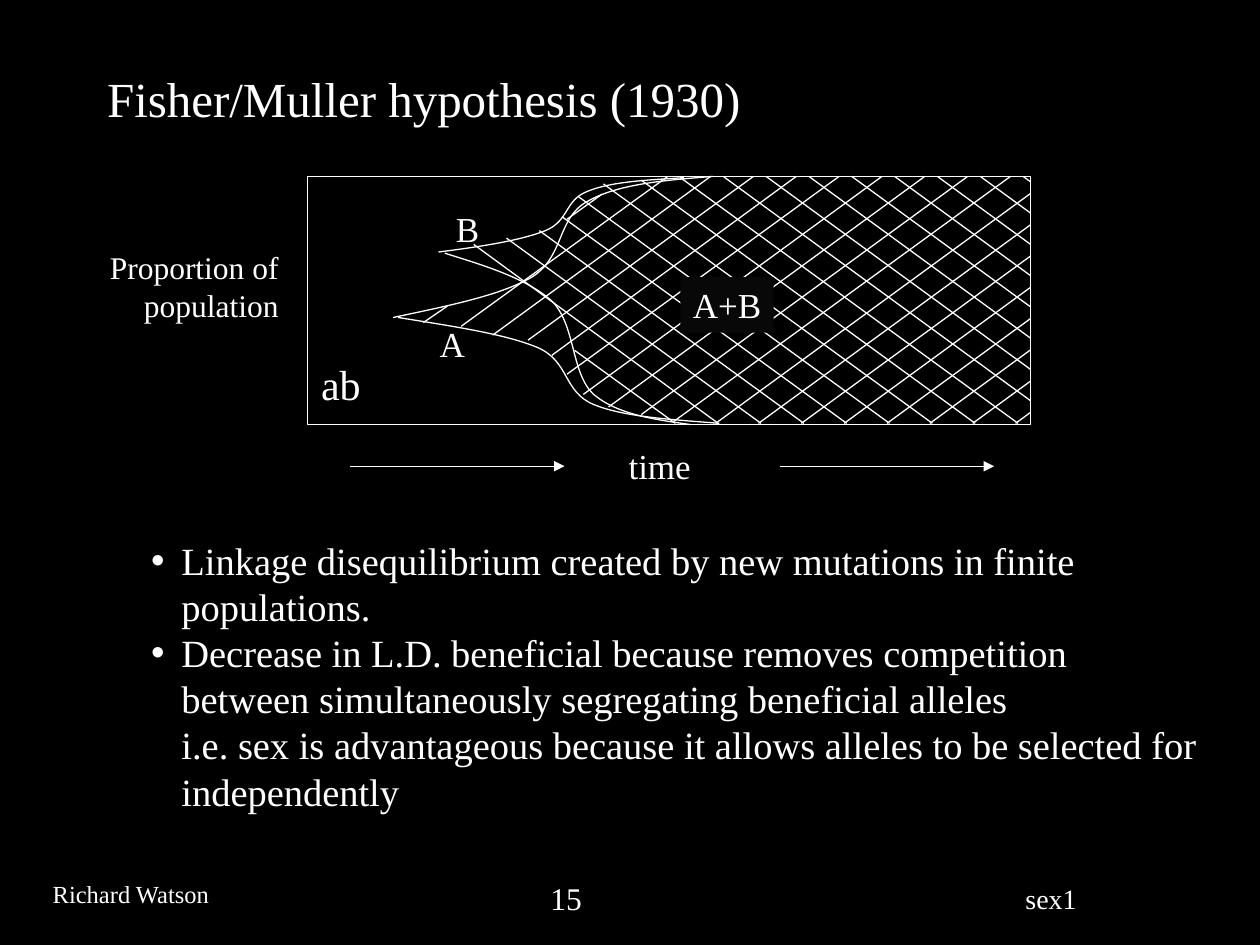
from lxml import etree
from pptx import Presentation
from pptx.dml.color import RGBColor
from pptx.enum.shapes import MSO_CONNECTOR, MSO_SHAPE
from pptx.enum.text import MSO_ANCHOR, MSO_AUTO_SIZE, PP_ALIGN
from pptx.oxml.ns import qn
from pptx.util import Inches, Pt

WHITE = "FFFFFF"
LINE_WIDTH = Pt(0.74)


def color(hex_string):
    return RGBColor.from_string(hex_string)


def write(shape, text, size=20, align=PP_ALIGN.LEFT, anchor=MSO_ANCHOR.TOP, wrap=True):
    frame = shape.text_frame
    frame.text = text
    frame.word_wrap = wrap
    frame.auto_size = MSO_AUTO_SIZE.NONE
    frame.vertical_anchor = anchor
    for paragraph in frame.paragraphs:
        paragraph.alignment = align
        paragraph.space_before = Pt(0)
        for run in paragraph.runs:
            run.font.name = "Times New Roman"
            run.font.size = Pt(size)
            run.font.color.rgb = color(WHITE)


prs = Presentation()
prs.slide_width, prs.slide_height = Inches(10), Inches(7.5)
slide = prs.slides.add_slide(prs.slide_layouts[1])
slide.background.fill.solid()
slide.background.fill.fore_color.rgb = color("000000")

# Title
title = slide.shapes.title
title.left, title.top, title.width, title.height = map(Inches, (0.75, 0.41, 8.5, 0.73))
write(title, "Fisher/Muller hypothesis (1930)", size=28, anchor=MSO_ANCHOR.MIDDLE)

# Population frame
diagram = slide.shapes.add_group_shape().shapes
population = diagram.add_shape(MSO_SHAPE.RECTANGLE, *map(Inches, (2.44, 1.4, 5.74, 1.97)))
outlines = [population]

# Boundaries of the spreading alleles: a start, then cubic segments
boundaries = [
    [(3.12, 2.52), (3.54, 2.43), (3.96, 2.35), (4.22, 2.2), (4.48, 2.04),
     (4.42, 1.73), (4.66, 1.6), (4.9, 1.46), (5.28, 1.43), (5.66, 1.4)],
    [(3.16, 2.52), (3.59, 2.59), (4.01, 2.65), (4.27, 2.76), (4.52, 2.87),
     (4.47, 3.11), (4.71, 3.21), (4.95, 3.31), (5.33, 3.33), (5.71, 3.36)],
    [(3.48, 2), (3.8, 1.96), (4.13, 1.91), (4.33, 1.83), (4.52, 1.75),
     (4.48, 1.59), (4.66, 1.52), (4.85, 1.44), (5.14, 1.43), (5.43, 1.41)],
    [(3.53, 2.01), (3.85, 2.11), (4.18, 2.21), (4.38, 2.39), (4.57, 2.58),
     (4.53, 2.96), (4.71, 3.13), (4.9, 3.29), (5.19, 3.33), (5.48, 3.37)],
]
for knots in boundaries:
    points = [(Inches(x), Inches(y)) for x, y in knots]
    builder = diagram.build_freeform(*points[0])
    builder.add_line_segments(points[1:], close=False)
    boundary = builder.convert_to_shape()
    outlines.append(boundary)
    # Every three straight steps become one cubic segment
    track = next(boundary.element.iter(qn("a:path")))
    steps = track.findall(qn("a:lnTo"))
    for first in range(0, len(steps), 3):
        cubic = etree.SubElement(track, qn("a:cubicBezTo"))
        for step in steps[first:first + 3]:
            cubic.append(step[0])
            track.remove(step)

for outline in outlines:
    outline.shadow.inherit = False
    outline.fill.background()
    outline.line.color.rgb = color(WHITE)
    outline.line.width = LINE_WIDTH

# Hatching: lines start on a boundary, or cut the frame at an even pitch
PITCH, SLOPE, RIGHT, TOP, BOTTOM = 0.34, 0.73, 8.18, 1.4, 3.36
rising_starts = [(3.66, 2.59), (3.91, 2.66), (4.19, 2.7), (4.38, 2.82), (4.5, 2.97),
                 (4.63, 3.13), (4.83, 3.23), (5.09, 3.29), (5.34, 3.35)]
falling_starts = [(4.56, 2.78), (3.76, 1.94), (4.02, 1.89), (4.28, 1.83), (4.46, 1.72),
                  (4.59, 1.56), (4.79, 1.46), (5.09, 1.43), (5.4, 1.41)]
hatches = [((4.5, 1.74), (4.78, 1.54)), ((3.36, 2.56), (3.55, 2.43))]
for i, start in enumerate(rising_starts):
    hatches.append((start, (5.3 + i * PITCH, TOP)))
for i, start in enumerate(falling_starts):
    hatches.append((start, (5.36 + i * PITCH, BOTTOM)))
for i in range(8):
    rising_x, falling_x = 5.68 + i * PITCH, 5.74 + i * PITCH
    hatches.append(((rising_x, BOTTOM), (RIGHT, BOTTOM - SLOPE * (RIGHT - rising_x))))
    hatches.append(((falling_x, TOP), (RIGHT, TOP + SLOPE * (RIGHT - falling_x))))

# Time axis
time_axis = slide.shapes.add_group_shape().shapes
arrows = [((x, 3.7), (x + 1.7, 3.7)) for x in (2.78, 6.19)]
for group, segments in ((diagram, hatches), (time_axis, arrows)):
    for start, end in segments:
        stroke = group.add_connector(MSO_CONNECTOR.STRAIGHT, *map(Inches, start + end))
        stroke.line.color.rgb = color(WHITE)
        stroke.line.width = LINE_WIDTH
        properties = stroke.element.spPr
        if group is time_axis:
            etree.SubElement(properties.find(qn("a:ln")), qn("a:tailEnd"), type="triangle")
        etree.SubElement(properties, qn("a:effectLst"))

# Labels of the diagram
for group, text, box in [
    (diagram, "A", (3.39, 2.51, 0.4, 0.44)),
    (diagram, "B", (3.52, 1.6, 0.38, 0.44)),
    (diagram, "A+B", (5.4, 2.2, 0.74, 0.44)),
    (time_axis, "time", (4.89, 3.48, 0.69, 0.44)),
]:
    label = group.add_textbox(*map(Inches, box))
    write(label, text, wrap=False)
    if text == "A+B":
        label.fill.solid()
        label.fill.fore_color.rgb = color("080808")

# Axis caption, wild type and footer
for text, box, size, align in [
    ("Proportion of population", (0.22, 1.92, 2.09, 0.7), 18, PP_ALIGN.RIGHT),
    ("ab", (2.45, 2.8, 0.74, 0.5), 24, PP_ALIGN.LEFT),
    ("Richard Watson", (0.32, 6.93, 1.46, 0.34), 14, PP_ALIGN.LEFT),
    ("15", (4.27, 6.93, 1.24, 0.4), 18, PP_ALIGN.LEFT),
    ("sex1", (8.04, 6.95, 1.9, 0.36), 16, PP_ALIGN.LEFT),
]:
    write(slide.shapes.add_textbox(*map(Inches, box)), text, size=size, align=align)

# Conclusions
conclusions = slide.placeholders[1]
conclusions.left, conclusions.top = Inches(1.1), Inches(4.21)
conclusions.width, conclusions.height = Inches(8.55), Inches(2.3)
write(conclusions,
      "Linkage disequilibrium created by new mutations in finite populations.\n"
      "Decrease in L.D. beneficial because removes competition between simultaneously "
      "segregating beneficial alleles\vi.e. sex is advantageous because it allows alleles "
      "to be selected for independently", size=22)
for paragraph in conclusions.text_frame.paragraphs:
    layout = paragraph._p.get_or_add_pPr()
    layout.set("marL", str(Inches(0.24)))
    layout.set("indent", str(-Inches(0.24)))
    etree.SubElement(layout, qn("a:buChar"), char="•")

prs.save("out.pptx")
